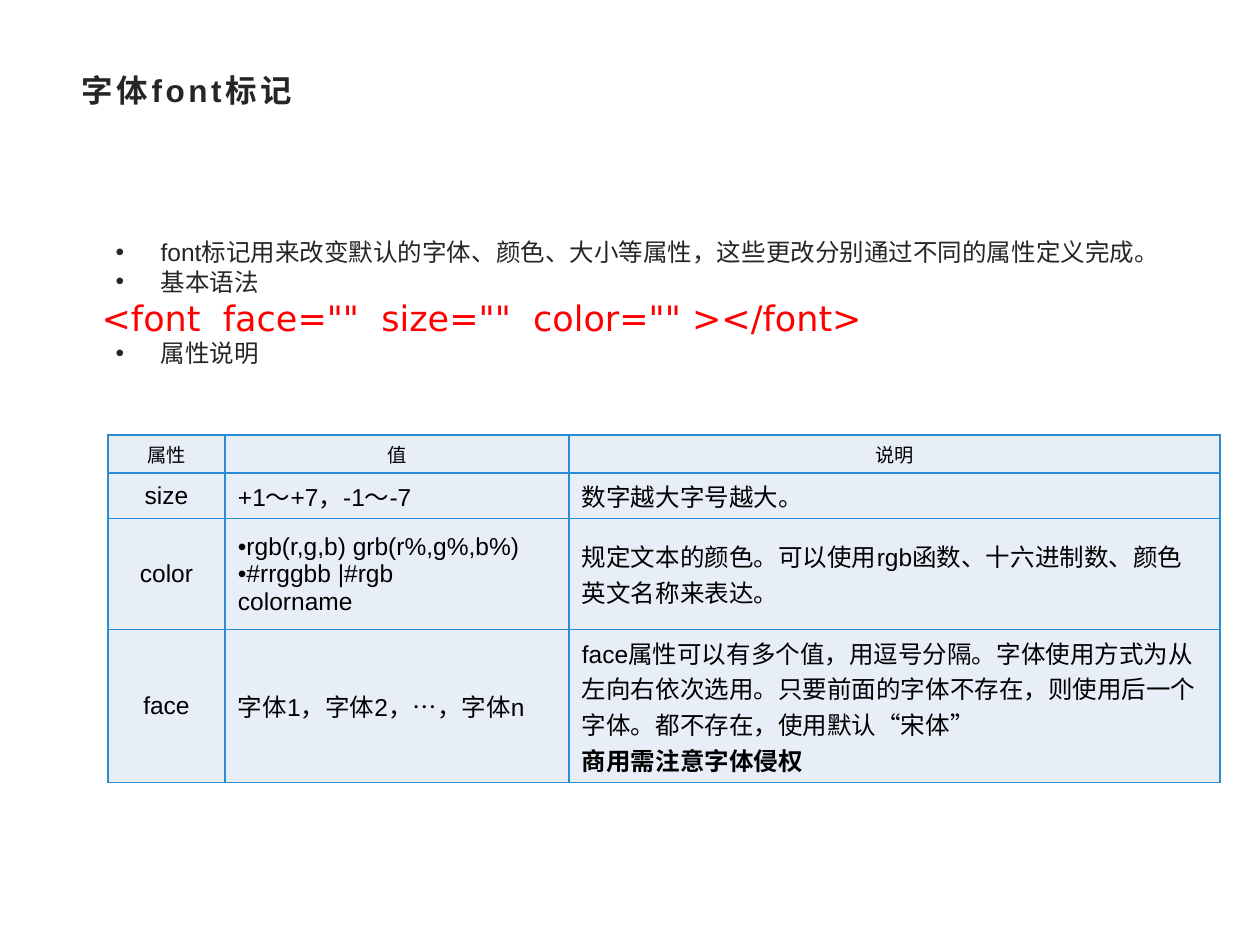
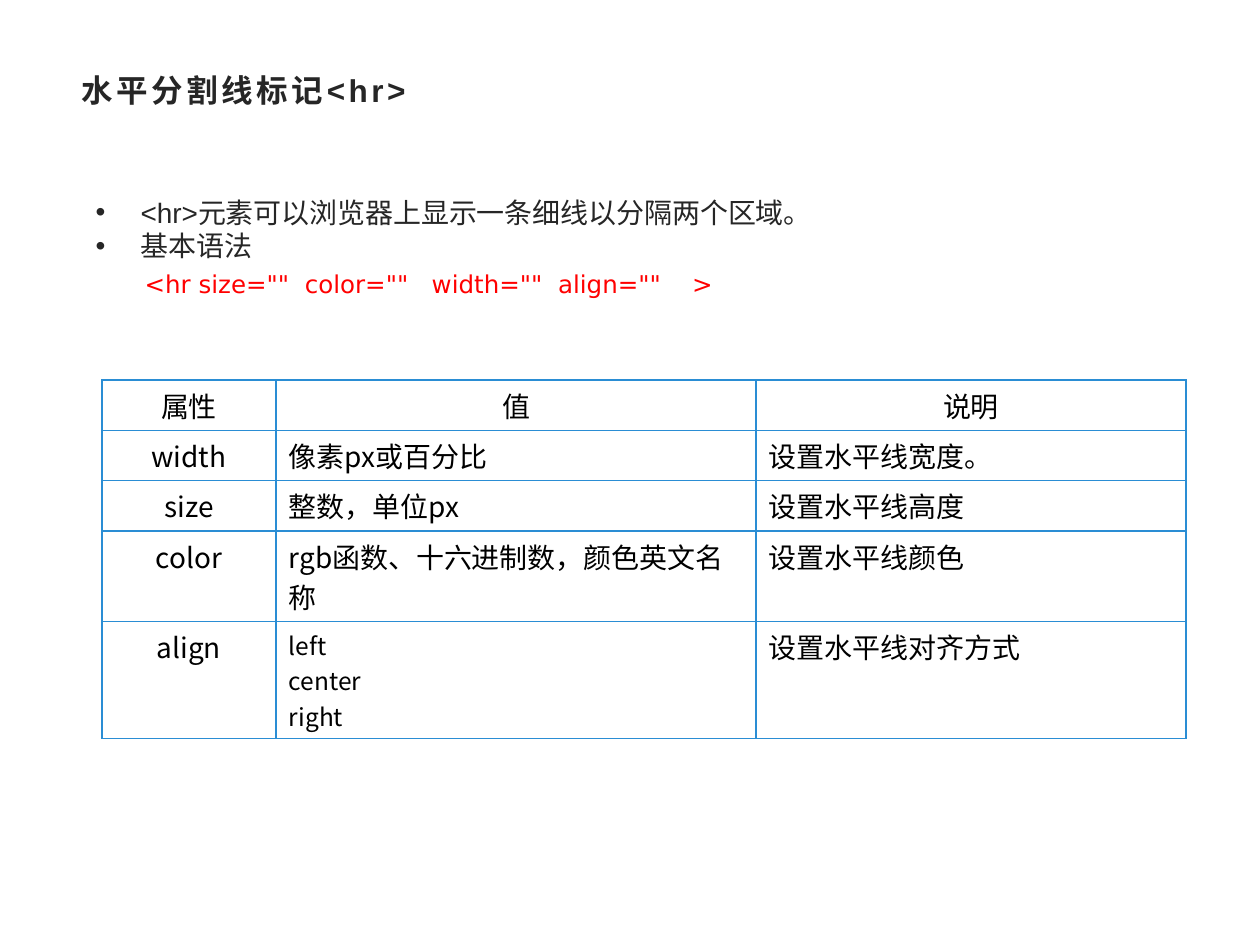
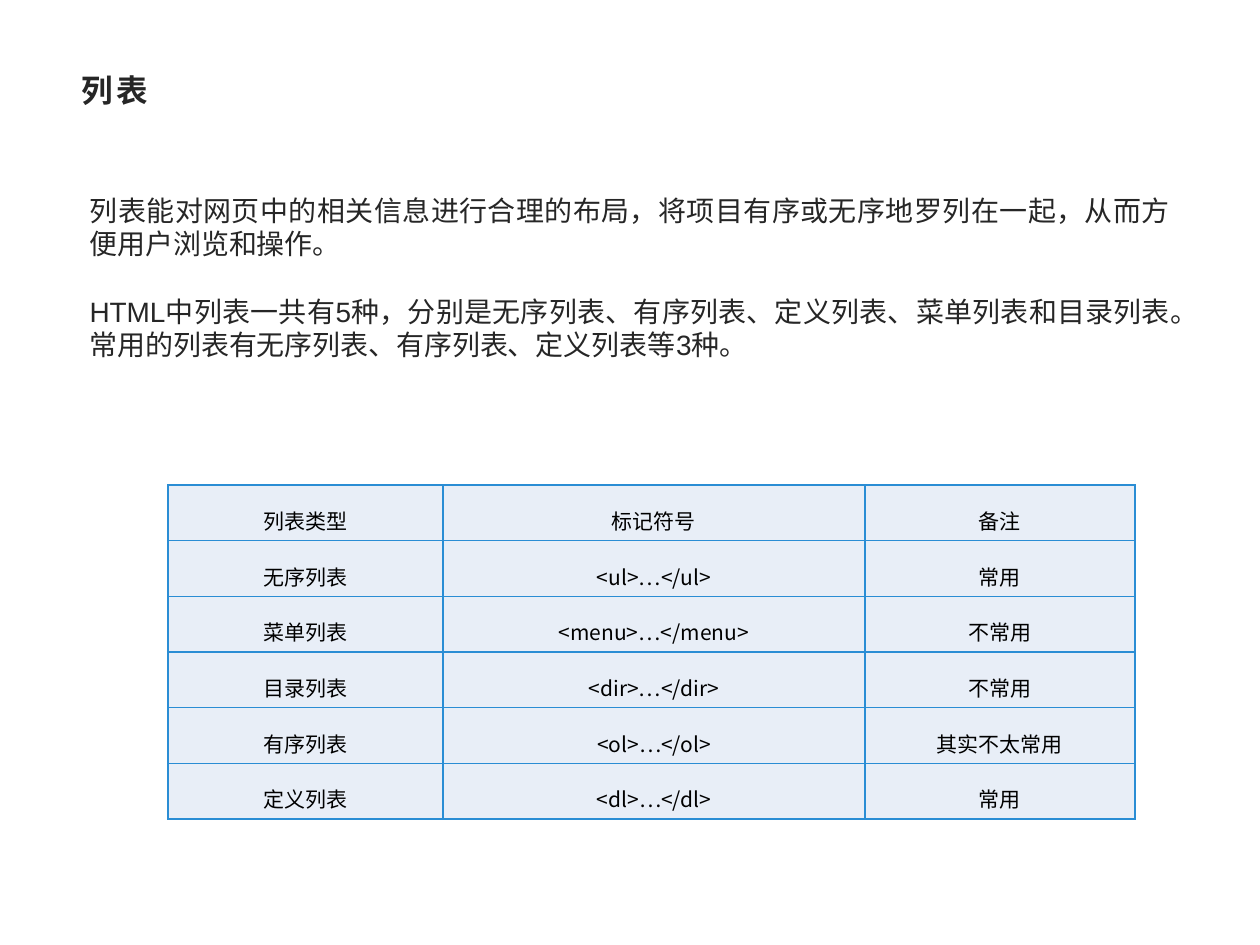
from dataclasses import dataclass

from lxml import etree
from pptx import Presentation
from pptx import util as u
from pptx.dml.color import RGBColor
from pptx.enum import text
from pptx.oxml.ns import qn

LEFT, CENTER, JUSTIFY = text.PP_ALIGN.LEFT, text.PP_ALIGN.CENTER, text.PP_ALIGN.JUSTIFY
TOP, MIDDLE = text.MSO_ANCHOR.TOP, text.MSO_ANCHOR.MIDDLE


@dataclass(frozen=True)
class Theme:
    latin: str = "Arial"
    cjk: str = "Noto Sans CJK SC"
    code: str = "DejaVu Sans"
    ink: str = "262626"
    black: str = "000000"
    red: str = "FF0000"
    line: str = "2A8DD4"
    band: str = "E8EEF7"
    title: int = 18
    large: int = 16
    normal: int = 14
    small: int = 12
    tiny: int = 11
    syntax: int = 20


T = Theme()


@dataclass(frozen=True)
class Para:
    """One paragraph; None leaves the choice to the element that holds it."""
    text: str
    size: int = None
    font: str = None
    color: str = None
    bold: bool = False
    bullet: bool = False
    level: int = 0
    tab: int = 0
    before: float = 0


def px(n):
    return u.Emu(round(n * 914400 / 126))


def add(parent, tag, **attrs):
    return etree.SubElement(parent, qn(tag), {k: str(v) for k, v in attrs.items()})


class Deck:
    def __init__(self):
        self.prs = Presentation()
        self.prs.slide_width, self.prs.slide_height = px(1260), px(945)
        self.s = None

    def run(self, p, words, size, font, color, bold=False, spacing=0):
        r = p.add_run()
        r.text = words
        r.font.size, r.font.name, r.font.bold = u.Pt(size), font, bold
        r.font.color.rgb = RGBColor.from_string(color)
        rPr = r.font._element
        rPr.set("lang", "zh-CN")
        if spacing:
            rPr.set("spc", str(spacing))
        add(rPr, "a:ea", typeface=T.cjk)

    def bullet(self, p, on, margin=0, hang=0):
        pPr = p._p.get_or_add_pPr()
        pPr.set("marL", str(px(margin)))
        pPr.set("indent", str(px(-hang)))
        if on:
            add(pPr, "a:buFont", typeface=T.latin)
            add(pPr, "a:buChar", char="•")
        else:
            add(pPr, "a:buNone")

    def paragraphs(self, tf, items):
        """Pair each item with a paragraph, using the frame's first one."""
        for i, item in enumerate(items):
            yield (tf.add_paragraph() if i else tf.paragraphs[0]), item

    def frame(self, sp, box, anchor):
        sp.left, sp.top, sp.width, sp.height = map(px, box)
        tf = sp.text_frame
        tf.word_wrap, tf.auto_size = True, text.MSO_AUTO_SIZE.NONE
        tf.vertical_anchor = anchor
        return tf

    def slide(self, title):
        self.s = self.prs.slides.add_slide(self.prs.slide_layouts[1])
        p = self.frame(self.s.shapes.title, (69, 60, 1121, 60), MIDDLE).paragraphs[0]
        p.alignment = LEFT
        self.run(p, title, T.title, T.latin, T.ink, True, 200)

    def body(self, box, items, size, align=LEFT):
        tf = self.frame(self.s.placeholders[1], box, TOP)
        for p, item in self.paragraphs(tf, items):
            points = item.size or size
            p.alignment, p.level = align, item.level
            p.line_spacing = u.Pt(1.2 * (T.title if item.tab else points))
            p.space_before = u.Pt(item.before)
            self.bullet(p, item.bullet, *((59, 45) if item.bullet else ()))
            if item.tab:
                tabs = add(p._p.pPr, "a:tabLst")
                add(tabs, "a:tab", pos=px(item.tab), algn="l")
                self.run(p, "\t", T.title, T.latin, T.ink)
            self.run(p, item.text, points, item.font or T.latin, item.color or T.ink)

    def borders(self, cell):
        tcPr = cell._tc.get_or_add_tcPr()
        for i, side in enumerate(("a:lnL", "a:lnR", "a:lnT", "a:lnB")):
            ln = etree.Element(qn(side), w=str(u.Pt(1)))
            add(add(ln, "a:solidFill"), "a:srgbClr", val=T.line)
            tcPr.insert(i, ln)

    def cell(self, cell, content, size, font, align, fill, anchor, spacing):
        cell.margin_left = cell.margin_right = px(13)
        cell.margin_top = cell.margin_bottom = px(5)
        cell.vertical_anchor = anchor
        if fill:
            cell.fill.solid()
            cell.fill.fore_color.rgb = RGBColor.from_string(fill)
        else:
            cell.fill.background()
        self.borders(cell)
        items = content if isinstance(content, list) else [Para(content)]
        for p, item in self.paragraphs(cell.text_frame, items):
            p.alignment = align
            if spacing:
                p.line_spacing = spacing
            if item.bullet:
                self.bullet(p, True)
            self.run(p, item.text, item.size or size, item.font or font, T.black, item.bold)

    def table(self, left, top, cols, heights, rows, size, font, aligns,
              head_size=None, fill=None, anchor=TOP, spacing=None):
        shape = self.s.shapes.add_table(len(rows), len(cols), px(left), px(top),
                                        px(sum(cols)), px(sum(heights)))
        tbl = shape.table
        tbl.first_row = tbl.horz_banding = False
        for col, width in zip(tbl.columns, cols):
            col.width = px(width)
        for i, (row, height, contents) in enumerate(zip(tbl.rows, heights, rows)):
            row.height = px(height)
            for cell, content, align in zip(row.cells, contents, aligns):
                if i:
                    self.cell(cell, content, size, font, align, fill, anchor, spacing)
                else:
                    self.cell(cell, content, head_size or size, font, CENTER, fill, TOP, spacing)


def font_slide(d):
    d.slide("字体font标记")
    d.body((89, 231, 1149, 231), [
        Para("font标记用来改变默认的字体、颜色、大小等属性，这些更改分别通过不同的属性定义完成。", bullet=True),
        Para("基本语法", bullet=True),
        Para('<font  face=""  size=""  color="" ></font>', T.syntax, T.code, T.red, level=1),
        Para("属性说明", bullet=True),
    ], T.normal)
    d.table(108, 435, (117, 344, 651), (33, 44, 111, 102), [
        ("属性", "值", "说明"),
        ("size", "+1～+7，-1～-7", "数字越大字号越大。"),
        ("color",
         [Para("rgb(r,g,b) grb(r%,g%,b%)", bullet=True), Para("#rrggbb |#rgb", bullet=True),
          Para("colorname")],
         "规定文本的颜色。可以使用rgb函数、十六进制数、颜色英文名称来表达。"),
        ("face", "字体1，字体2，…，字体n",
         [Para("face属性可以有多个值，用逗号分隔。字体使用方式为从左向右依次选用。"
               "只要前面的字体不存在，则使用后一个字体。都不存在，使用默认“宋体”"),
          Para("商用需注意字体侵权", font=T.cjk, bold=True)]),
    ], T.normal, T.latin, (CENTER, LEFT, LEFT), T.tiny, T.band, MIDDLE)


def rule_slide(d):
    d.slide("水平分割线标记<hr>")
    d.body((69, 189, 1149, 170), [
        Para("<hr>元素可以浏览器上显示一条细线以分隔两个区域。", bullet=True),
        Para("基本语法", bullet=True),
        Para('<hr size=""  color=""   width=""  align=""    >', T.normal, T.code, T.red,
             level=1, tab=164),
    ], T.large)
    d.table(102, 380, (174, 480, 430), (42, 45, 45, 72, 103), [
        ("属性", "值", "说明"),
        ("width", "像素px或百分比", "设置水平线宽度。"),
        ("size", "整数，单位px", "设置水平线高度"),
        ("color", "rgb函数、十六进制数，颜色英文名称", "设置水平线颜色"),
        ("align", [Para(side, T.normal) for side in ("left", "center", "right")],
         "设置水平线对齐方式"),
    ], T.large, T.cjk, (CENTER, LEFT, LEFT))


def list_slide(d):
    d.slide("列表")
    d.body((77, 187, 1107, 243), [
        Para("列表能对网页中的相关信息进行合理的布局，将项目有序或无序地罗列在一起，从而方便用户浏览和操作。"),
        Para("HTML中列表一共有5种，分别是无序列表、有序列表、定义列表、菜单列表和目录列表。"
             "常用的列表有无序列表、有序列表、定义列表等3种。", before=1.2 * T.large),
    ], T.large, JUSTIFY)
    kinds = [("无序列表", "ul", "常用"), ("菜单列表", "menu", "不常用"), ("目录列表", "dir", "不常用"),
             ("有序列表", "ol", "其实不太常用"), ("定义列表", "dl", "常用")]
    rows = [("列表类型", "标记符号", "备注")]
    rows += [(name, f"<{tag}>…</{tag}>", note) for name, tag, note in kinds]
    d.table(168, 485, (275, 422, 270), [47] * len(rows), rows, T.small, T.cjk,
            [CENTER] * 3, fill=T.band, spacing=1.5)


def main():
    d = Deck()
    for build in (font_slide, rule_slide, list_slide):
        build(d)
    d.prs.save("out.pptx")


if __name__ == "__main__":
    main()
